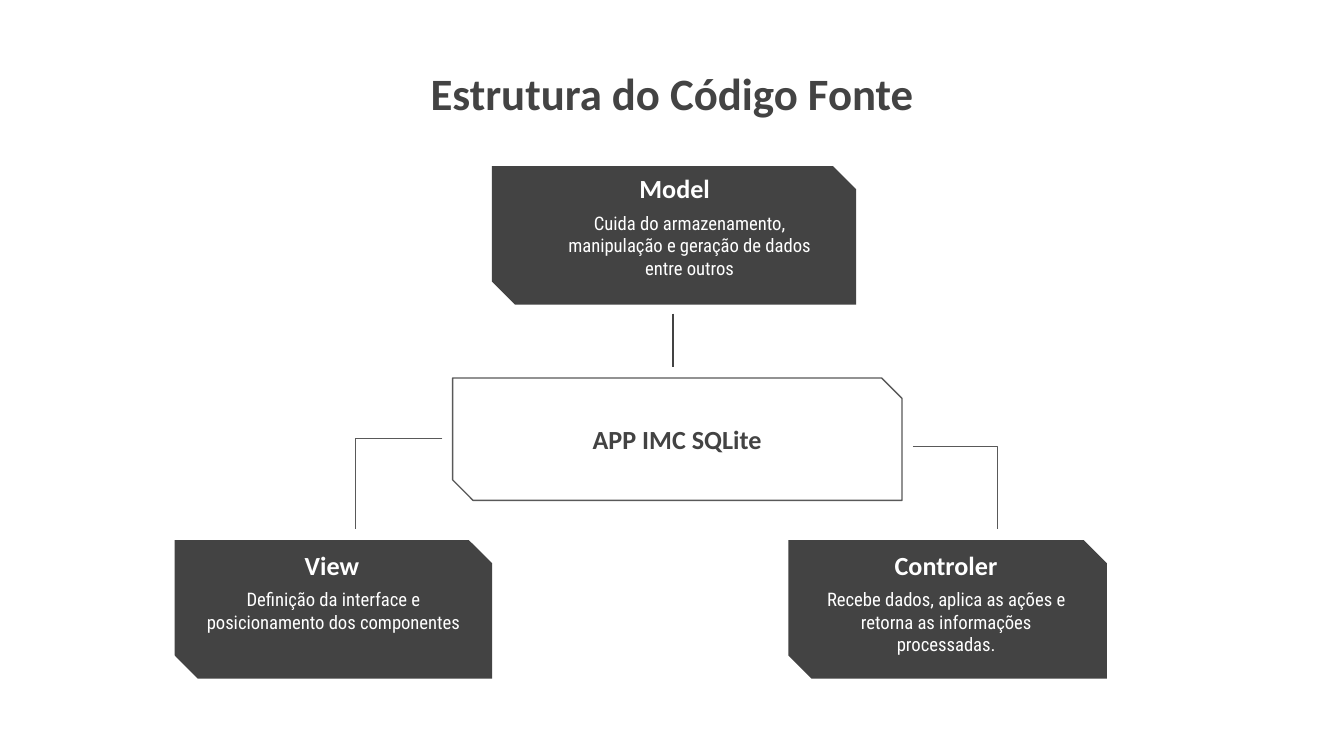
from dataclasses import dataclass

from lxml.etree import SubElement
from pptx import Presentation
from pptx.dml.color import RGBColor
from pptx.enum.shapes import MSO_CONNECTOR as Connector, MSO_SHAPE as Shape
from pptx.enum.text import MSO_ANCHOR as Anchor, MSO_AUTO_SIZE as AutoSize, PP_ALIGN as Align
from pptx.oxml.ns import qn
from pptx.util import Pt

COLORS = {"dark": "434343", "line": "595959", "white": "FFFFFF"}
HEADING_FONT, BODY_FONT = "Calibri", "Roboto Condensed"
INSET = 7.2
CARD_HEIGHT, HEADING_HEIGHT, BODY_HEIGHT = 74.2, 31, 49


@dataclass(frozen=True)
class Box:
    left: float
    top: float
    width: float
    height: float


@dataclass(frozen=True)
class Card:
    """A dark box with a heading and a description, each with its own left and width."""
    heading: str
    body: str
    left: float
    top: float
    width: float
    heading_left: float
    heading_top: float
    body_left: float
    body_width: float


@dataclass(frozen=True)
class Link:
    start: tuple[float, float]
    end: tuple[float, float]
    color: str
    bend: bool


CARDS = [
    Card("View", "Definição da interface e posicionamento dos componentes",
         93.6, 289.4, 170, 121.7, 287.3, 99.4, 158.4),
    Card("Controler", "Recebe dados, aplica as ações e retorna as informações processadas.",
         422.4, 289.4, 170.6, 450.7, 287.3, 427.7, 158.4),
    Card("Model", "Cuida do armazenamento, manipulação e geração de dados entre outros",
         263.5, 89, 195.1, 305.3, 85.5, 286.6, 165.6),
]
LINKS = [
    Link((360.5, 168), (360.5, 196.4), "dark", False),
    Link((237, 235), (190.6, 283.4), "line", True),
    Link((489, 239.2), (534.5, 283.5), "line", True),
]


def color(name: str) -> RGBColor:
    return RGBColor.from_string(COLORS[name])


def place(shape, box: Box) -> None:
    shape.left, shape.top = Pt(box.left), Pt(box.top)
    shape.width, shape.height = Pt(box.width), Pt(box.height)


def write(shape, text: str, size: float, font: str, ink: str,
          bold: bool = False, anchor=Anchor.TOP) -> None:
    frame = shape.text_frame
    frame.word_wrap = True
    frame.auto_size = AutoSize.NONE
    frame.vertical_anchor = anchor
    frame.margin_left = frame.margin_right = Pt(INSET)
    frame.margin_top = frame.margin_bottom = Pt(INSET)
    paragraph = frame.paragraphs[0]
    paragraph.alignment = Align.CENTER
    paragraph.line_spacing = 1.0
    run = paragraph.add_run()
    run.text = text
    run.font.name, run.font.size, run.font.bold = font, Pt(size), bold
    run.font.color.rgb = color(ink)


def add_text(slide, box: Box, text: str, size: float, font: str, ink: str, **style) -> None:
    shape = slide.shapes.add_textbox(0, 0, 0, 0)
    place(shape, box)
    write(shape, text, size, font, ink, **style)


def add_heading(slide, box: Box, text: str, ink: str) -> None:
    add_text(slide, box, text, 14, HEADING_FONT, ink, bold=True, anchor=Anchor.BOTTOM)


def add_snipped_box(slide, box: Box, filled: bool) -> None:
    shape = slide.shapes.add_shape(Shape.SNIP_2_DIAG_RECTANGLE, 0, 0, 0, 0)
    place(shape, box)
    shape.adjustments[0], shape.adjustments[1] = 0, 0.167
    shape.shadow.inherit = False
    if filled:
        shape.fill.solid()
        shape.fill.fore_color.rgb = color("dark")
        shape.line.fill.background()
    else:
        shape.fill.background()
        shape.line.color.rgb = color("line")
        shape.line.width = Pt(0.75)


def add_card(slide, card: Card) -> None:
    add_snipped_box(slide, Box(card.left, card.top, card.width, CARD_HEIGHT), True)
    add_heading(slide, Box(card.heading_left, card.heading_top, 112.3, HEADING_HEIGHT),
                card.heading, "white")
    body_top = card.heading_top + 20.6
    add_text(slide, Box(card.body_left, body_top, card.body_width, BODY_HEIGHT),
             card.body, 10, BODY_FONT, "white")


def add_link(slide, link: Link) -> None:
    """Draw a straight line, or an elbow that runs across first and then down."""
    kind = Connector.ELBOW if link.bend else Connector.STRAIGHT
    points = [Pt(value) for value in (*link.start, *link.end)]
    connector = slide.shapes.add_connector(kind, *points)
    connector.line.color.rgb = color(link.color)
    connector.line.width = Pt(0.75)
    properties = connector._element.spPr
    SubElement(properties, qn("a:effectLst"))
    if link.bend:
        adjustments = properties.find(qn("a:prstGeom")).find(qn("a:avLst"))
        SubElement(adjustments, qn("a:gd"), name="adj1", fmla="val 100000")


def main() -> None:
    presentation = Presentation()
    presentation.slide_width, presentation.slide_height = Pt(720), Pt(405)
    slide = presentation.slides.add_slide(presentation.slide_layouts[5])

    title = slide.shapes.title
    place(title, Box(154.8, 28.1, 410.4, 74.2))
    write(title, "Estrutura do Código Fonte", 24, HEADING_FONT, "dark", bold=True)

    for card in CARDS:
        add_card(slide, card)
    add_snipped_box(slide, Box(242.5, 202.5, 240.7, 65.6), False)
    add_heading(slide, Box(292.3, 219.6, 141, HEADING_HEIGHT), "APP IMC SQLite", "dark")
    for link in LINKS:
        add_link(slide, link)

    presentation.save("out.pptx")


if __name__ == "__main__":
    main()
